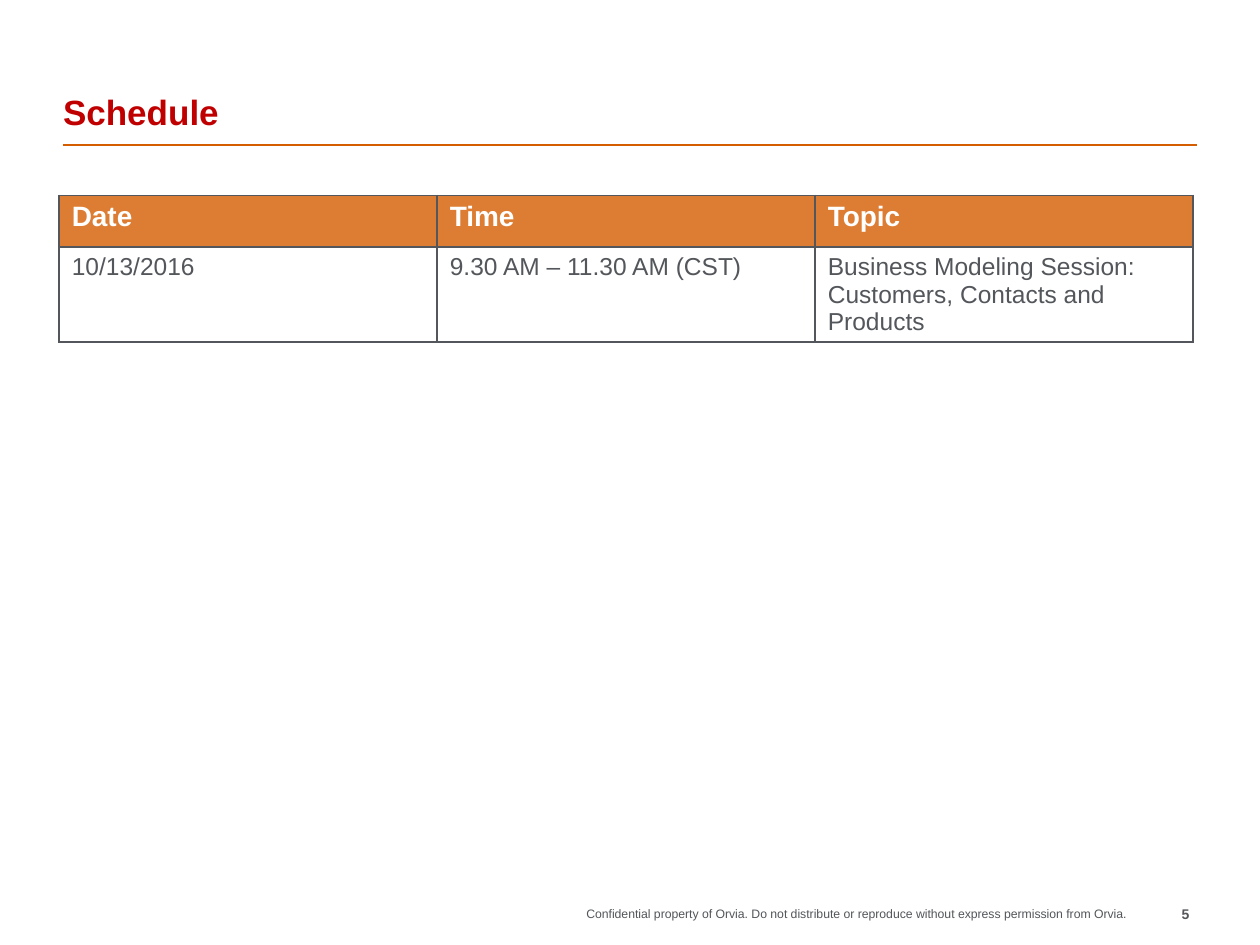
import pptx
import pptx.util
import pptx.dml.color
import pptx.enum.text
import pptx.oxml
import pptx.oxml.ns
from lxml import etree

Inches, Pt = pptx.util.Inches, pptx.util.Pt
ALIGN, ANCHOR = pptx.enum.text.PP_ALIGN, pptx.enum.text.MSO_ANCHOR

COLORS = {"title": "C00000", "rule": "D45D00", "header": "DD7D33",
          "text": "53565A", "white": "FFFFFF"}
TITLE = "Schedule"
SCHEDULE = [
    ("Date", "Time", "Topic"),
    ("10/13/2016", "9.30 AM – 11.30 AM (CST)",
     "Business Modeling Session: Customers, Contacts and Products"),
]
NOTICE = ("Confidential property of Orvia. Do not distribute or reproduce "
          "without express permission from Orvia.")
PAGE = "5"

WIDTH, HEIGHT = 10, 7.5
MARGIN = WIDTH * 0.05
CONTENT = WIDTH - 2 * MARGIN
ROW_HEIGHT = 0.41
FOOTER_TOP, FOOTER_HEIGHT = 7.19, 0.23
PAGE_LEFT, PAGE_WIDTH, NOTICE_WIDTH = 8.94, 0.5, 5.32


def rgb(name):
    return pptx.dml.color.RGBColor.from_string(COLORS[name])


def write(tf, text, size, color="text", bold=False, align=ALIGN.LEFT):
    p = tf.paragraphs[0]
    p.alignment = align
    r = p.add_run()
    r.text = text
    r.font.name, r.font.size, r.font.bold = "Arial", Pt(size), bold
    r.font.color.rgb = rgb(color)


def clear_margins(tf):
    tf.margin_left = tf.margin_right = tf.margin_top = tf.margin_bottom = 0
    tf.word_wrap = True


def add_borders(cell, color, width):
    """Draw a solid line on all four sides; call before setting the fill."""
    tcPr = cell._tc.get_or_add_tcPr()
    for side in ("lnL", "lnR", "lnT", "lnB"):
        ln = etree.SubElement(tcPr, pptx.oxml.ns.qn("a:" + side), w=str(Pt(width)))
        fill = etree.SubElement(ln, pptx.oxml.ns.qn("a:solidFill"))
        etree.SubElement(fill, pptx.oxml.ns.qn("a:srgbClr"), val=COLORS[color])


def add_title(s):
    sp = s.shapes.title
    sp.left, sp.top = Inches(MARGIN), Inches(0.21)
    sp.width, sp.height = Inches(CONTENT), Inches(0.84)
    clear_margins(sp.text_frame)
    sp.text_frame.vertical_anchor = ANCHOR.BOTTOM
    write(sp.text_frame, TITLE, 20, color="title", bold=True)

    y = Inches(1.15)
    rule = s.shapes.add_connector(1, Inches(MARGIN), y, Inches(WIDTH - MARGIN), y)
    rule.line.color.rgb = rgb("rule")
    rule.line.width = Pt(1)
    etree.SubElement(rule._element.spPr, pptx.oxml.ns.qn("a:effectLst"))


def add_schedule(s):
    rows, cols = len(SCHEDULE), len(SCHEDULE[0])
    table = s.shapes.add_table(rows, cols, Inches(0.47), Inches(1.55),
                               Inches(CONTENT), Inches(rows * ROW_HEIGHT)).table
    table.horz_banding = False
    for i, row in enumerate(SCHEDULE):
        for j, text in enumerate(row):
            cell = table.cell(i, j)
            add_borders(cell, "text", 1)
            if i == 0:
                cell.fill.solid()
                cell.fill.fore_color.rgb = rgb("header")
                write(cell.text_frame, text, 16, color="white", bold=True)
            else:
                cell.fill.background()
                write(cell.text_frame, text, 14)


def add_footer(s, left, width, text, **style):
    sp = s.shapes.add_textbox(Inches(left), Inches(FOOTER_TOP),
                              Inches(width), Inches(FOOTER_HEIGHT))
    clear_margins(sp.text_frame)
    write(sp.text_frame, text, align=ALIGN.RIGHT, **style)


def main():
    prs = pptx.Presentation()
    prs.slide_width, prs.slide_height = Inches(WIDTH), Inches(HEIGHT)
    s = prs.slides.add_slide(prs.slide_layouts[5])
    add_title(s)
    add_schedule(s)
    add_footer(s, PAGE_LEFT - NOTICE_WIDTH, NOTICE_WIDTH, NOTICE, size=7)
    add_footer(s, PAGE_LEFT, PAGE_WIDTH, PAGE, size=8, bold=True)
    prs.save("out.pptx")


if __name__ == "__main__":
    main()
